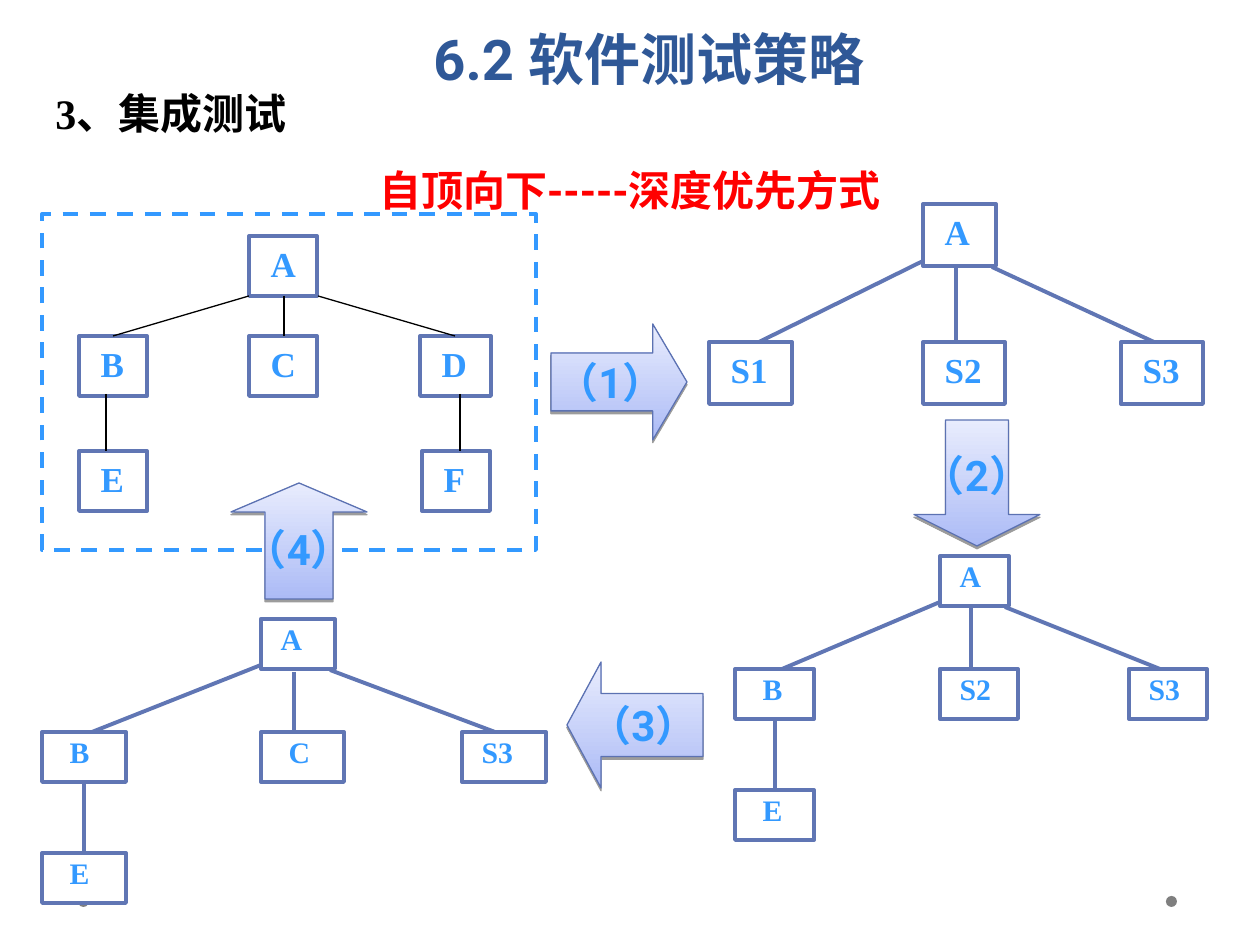
from lxml import etree
from pptx import Presentation
from pptx.dml.color import RGBColor
from pptx.enum.dml import MSO_LINE
from pptx.enum.shapes import MSO_CONNECTOR, MSO_SHAPE
from pptx.enum.text import MSO_ANCHOR, PP_ALIGN
from pptx.oxml.ns import qn
from pptx.util import Pt

PX = 914400 / 126
DASH = MSO_LINE.DASH
STRAIGHT = MSO_CONNECTOR.STRAIGHT
RECTANGLE, OVAL = MSO_SHAPE.RECTANGLE, MSO_SHAPE.OVAL
RIGHT, DOWN = MSO_SHAPE.RIGHT_ARROW, MSO_SHAPE.DOWN_ARROW
LEFT, UP = MSO_SHAPE.LEFT_ARROW, MSO_SHAPE.UP_ARROW
TOP, MIDDLE, BOTTOM = MSO_ANCHOR.TOP, MSO_ANCHOR.MIDDLE, MSO_ANCHOR.BOTTOM
ALIGN_LEFT, ALIGN_CENTER = PP_ALIGN.LEFT, PP_ALIGN.CENTER

SANS, SERIF = "Roboto", "Times New Roman"
COLORS = {
    "white": "FFFFFF", "black": "000000", "red": "FF0000", "dot": "7F7F7F",
    "title": "2F5897", "label": "3399FF", "border": "6076B4",
    "arrow_line": "5C72B2", "arrow_dark": "ACBBF6", "arrow_light": "E8ECFD",
}

# Each tree: font size, line spacing, box height, edge style,
# boxes (label, left, top, width, indent) and edges (x1, y1, x2, y2)
TREES = [
    dict(size=20, spacing=1.0, height=60, edge=("black", 0.75),
         boxes=[("A", 249, 236, 68, 9), ("B", 79, 336, 68, 9),
                ("C", 249, 336, 68, 9), ("D", 420, 336, 71, 9),
                ("E", 79, 451, 68, 9), ("F", 422, 451, 68, 9)],
         edges=[(249, 296, 113, 336), (318, 296, 455, 336),
                (284, 296, 284, 336), (106, 394, 106, 451),
                (460, 394, 460, 451)]),
    dict(size=20, spacing=1.0, height=62, edge=("border", 2.25),
         boxes=[("A", 923, 204, 73, 9), ("S1", 709, 342, 83, 9),
                ("S2", 923, 342, 82, 9), ("S3", 1121, 342, 82, 9)],
         edges=[(923, 261, 759, 342), (992, 267, 1154, 342),
                (956, 267, 956, 342)]),
    dict(size=17, spacing=0.9, height=50, edge=("border", 2.25),
         boxes=[("A", 940, 556, 69, 7), ("B", 735, 669, 79, 15),
                ("S2", 940, 669, 78, 7), ("S3", 1129, 669, 78, 7),
                ("E", 735, 790, 79, 15)],
         edges=[(940, 602, 782, 669), (1005, 607, 1160, 669),
                (971, 607, 971, 668), (775, 718, 775, 790)]),
    dict(size=17, spacing=0.9, height=50, edge=("border", 2.25),
         boxes=[("A", 261, 619, 74, 7), ("B", 42, 732, 84, 15),
                ("C", 261, 732, 83, 15), ("S3", 462, 732, 84, 7),
                ("E", 42, 853, 84, 15)],
         edges=[(261, 665, 92, 732), (330, 670, 495, 732),
                (294, 672, 294, 732), (84, 781, 84, 853)]),
]

# Step arrows: preset, head length, left, top, width, height
STEPS = [
    (RIGHT, 0.295, 551, 324, 136, 116),
    (DOWN, 0.25, 914, 420, 126, 126),
    (LEFT, 0.271, 567, 662, 136, 126),
    (UP, 0.25, 231, 483, 136, 116),
]


def emu(*pixels):
    return [round(value * PX) for value in pixels]


def rgb(name):
    return RGBColor.from_string(COLORS[name])


def write(shape, text, font, size, color, align=ALIGN_LEFT, anchor=TOP,
          spacing=1.0, indent=0, wrap=True):
    frame = shape.text_frame
    frame.word_wrap = wrap
    frame.vertical_anchor = anchor
    frame.margin_left += emu(indent)[0]
    paragraph = frame.paragraphs[0]
    paragraph.alignment = align
    paragraph.line_spacing = spacing
    run = paragraph.add_run()
    run.text = text
    run.font.name, run.font.size, run.font.bold = font, Pt(size), True
    run.font.color.rgb = rgb(color)


def add_shape(shapes, preset, area, fill=None, line=None, width=2.25):
    shape = shapes.add_shape(preset, *emu(*area))
    shape.shadow.inherit = False
    if fill:
        shape.fill.solid()
        shape.fill.fore_color.rgb = rgb(fill)
    else:
        shape.fill.background()
    if line:
        shape.line.color.rgb = rgb(line)
        shape.line.width = Pt(width)
    else:
        shape.line.fill.background()
    return shape


def add_edge(shapes, ends, color, width):
    edge = shapes.add_connector(STRAIGHT, *emu(*ends))
    edge.line.color.rgb = rgb(color)
    edge.line.width = Pt(width)
    etree.SubElement(edge._element.spPr, qn("a:effectLst"))


def add_tree(slide, tree):
    shapes = slide.shapes.add_group_shape().shapes
    for label, left, top, width, indent in tree["boxes"]:
        box = add_shape(shapes, RECTANGLE, (left, top, width, tree["height"]),
                        "white", "border")
        write(box, label, SERIF, tree["size"], "label",
              spacing=tree["spacing"], indent=indent)
    for ends in tree["edges"]:
        add_edge(shapes, ends, *tree["edge"])


def add_step_arrow(slide, number, preset, head, *area):
    arrow = add_shape(slide.shapes, preset, area, line="arrow_line", width=0.75)
    arrow.adjustments[1] = head
    arrow.fill.gradient()
    arrow.fill.gradient_angle = 90
    for stop, color in zip(arrow.fill.gradient_stops,
                           ("arrow_dark", "arrow_light")):
        stop.color.rgb = rgb(color)
    # Hard shadow just below the arrow
    effects = arrow._element.spPr.find(qn("a:effectLst"))
    shadow = etree.SubElement(effects, qn("a:outerShdw"), blurRad="0",
                              dist=str(Pt(1.6)), dir="5400000", rotWithShape="0")
    black = etree.SubElement(shadow, qn("a:srgbClr"), val=COLORS["black"])
    etree.SubElement(black, qn("a:alpha"), val="38000")
    write(arrow, f"（{number}）", SANS, 24, "label", ALIGN_CENTER, MIDDLE,
          wrap=False)


def add_text(slide, area, *content, **layout):
    write(slide.shapes.add_textbox(*emu(*area)), *content, **layout)


def main():
    presentation = Presentation()
    presentation.slide_width, presentation.slide_height = emu(1260, 945)
    slide = presentation.slides.add_slide(presentation.slide_layouts[6])

    # Footer dots
    for left in (1166, 78):
        add_shape(slide.shapes, OVAL, (left, 896, 11, 11), "dot")

    # Module trees, the first one inside a dashed frame
    for tree in TREES:
        add_tree(slide, tree)
    frame = add_shape(slide.shapes, RECTANGLE, (42, 214, 494, 336), line="label")
    frame.line.dash_style = DASH

    # Numbered steps
    for number, step in enumerate(STEPS, 1):
        add_step_arrow(slide, number, *step)

    # Headings
    add_text(slide, (63, 134, 1134, 87), "自顶向下-----深度优先方式", SANS, 24,
             "red", align=ALIGN_CENTER, anchor=BOTTOM, spacing=Pt(58))
    add_text(slide, (82, -16, 1134, 118), "6.2 软件测试策略", SANS, 32,
             "title", align=ALIGN_CENTER, spacing=Pt(58))
    add_text(slide, (43, 66, 1137, 78), "3、集成测试", SERIF, 24,
             "black", spacing=1.3)

    presentation.save("out.pptx")


if __name__ == "__main__":
    main()
